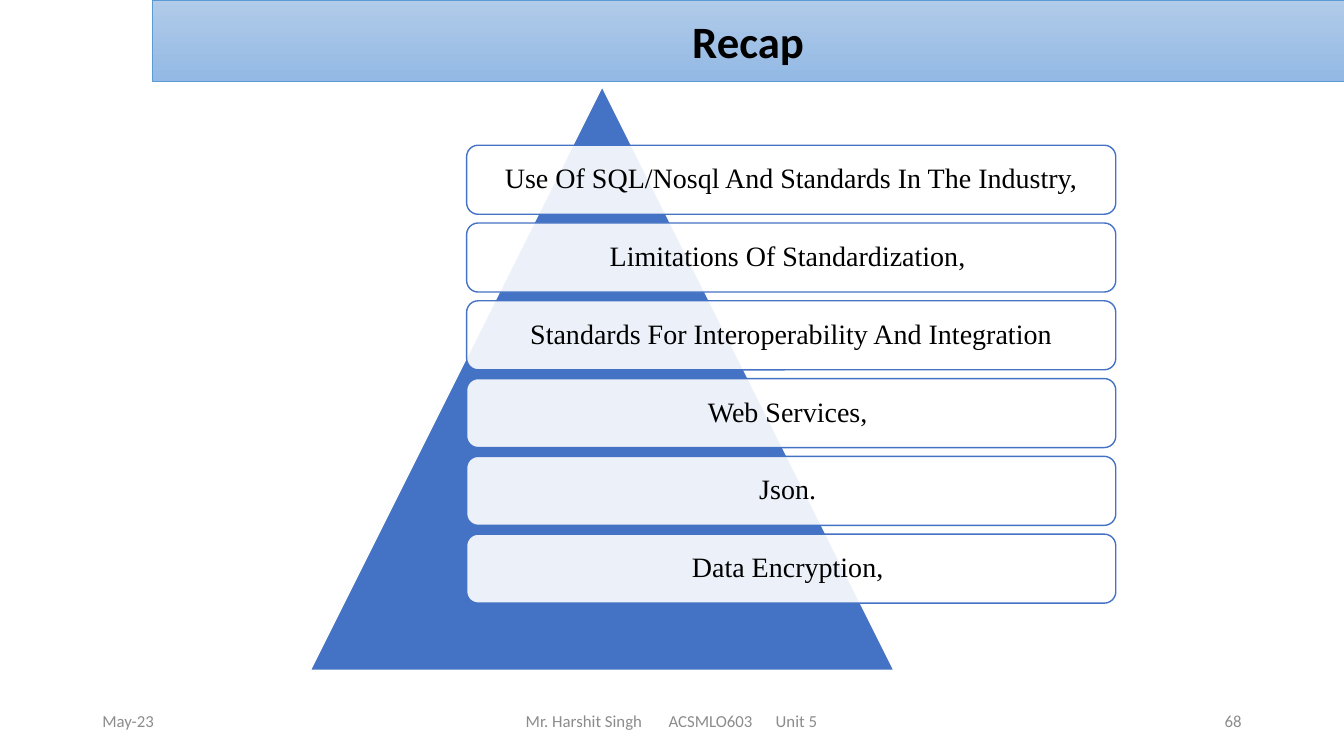
from dataclasses import dataclass

from lxml.etree import SubElement
from pptx import Presentation
from pptx.dml.color import RGBColor
from pptx.enum.shapes import MSO_SHAPE
from pptx.enum.text import MSO_ANCHOR, PP_ALIGN
from pptx.oxml.ns import qn
from pptx.util import Cm, Pt


@dataclass(frozen=True)
class Theme:
    black: RGBColor = RGBColor.from_string("000000")
    white: RGBColor = RGBColor.from_string("FFFFFF")
    blue: RGBColor = RGBColor.from_string("4472C4")
    grey: RGBColor = RGBColor.from_string("8C8C8C")
    banner_top: RGBColor = RGBColor.from_string("B1CBE9")
    banner_bottom: RGBColor = RGBColor.from_string("93B9E4")
    banner_line: RGBColor = RGBColor.from_string("5B9BD5")
    sans: str = "Calibri"
    serif: str = "Times New Roman"
    title_size: Pt = Pt(32)
    topic_size: Pt = Pt(20)
    footer_size: Pt = Pt(12)


THEME = Theme()

TOPICS = [
    "Use Of SQL/Nosql And Standards In The Industry,",
    "Limitations Of Standardization, ",
    "Standards For Interoperability And Integration",
    "Web Services, ",
    "Json. ",
    "Data Encryption, ",
]


def write(shape, text, font_name, size, color, alignment, bold=False):
    frame = shape.text_frame
    frame.word_wrap = True
    frame.vertical_anchor = MSO_ANCHOR.MIDDLE
    paragraph = frame.paragraphs[0]
    paragraph.alignment = alignment
    run = paragraph.add_run()
    run.text = text
    run.font.name = font_name
    run.font.size = size
    run.font.bold = bold
    run.font.color.rgb = color
    return paragraph


def set_line(shape, color, width):
    shape.line.color.rgb = color
    shape.line.width = width


def format_title(title, text):
    title.left, title.top, title.width, title.height = Cm(3.84), Cm(0), Cm(30.03), Cm(2.04)
    title.fill.gradient()
    title.fill.gradient_angle = 270
    colors = (THEME.banner_top, THEME.banner_bottom)
    for position, (stop, color) in enumerate(zip(title.fill.gradient_stops, colors)):
        stop.position = position
        stop.color.rgb = color
    set_line(title, THEME.banner_line, Pt(0.5))
    write(title, text, THEME.sans, THEME.title_size, THEME.black, PP_ALIGN.CENTER, bold=True)


def add_filled_shape(shapes, kind, left, top, width, height, fill, line):
    shape = shapes.add_shape(kind, left, top, width, height)
    shape.shadow.inherit = False
    shape.fill.solid()
    shape.fill.fore_color.rgb = fill
    set_line(shape, line, Pt(1))
    return shape


def set_opacity(shape, percent):
    color = shape._element.spPr.find(qn("a:solidFill")).find(qn("a:srgbClr"))
    SubElement(color, qn("a:alpha")).set("val", str(percent * 1000))


def add_topic(shapes, index, text):
    top = Cm(3.66 + 1.96 * index)
    topic = add_filled_shape(shapes, MSO_SHAPE.ROUNDED_RECTANGLE, Cm(11.76), top,
                             Cm(16.36), Cm(1.74), THEME.white, THEME.blue)
    set_opacity(topic, 90)
    paragraph = write(topic, text, THEME.serif, THEME.topic_size, THEME.black, PP_ALIGN.CENTER)
    paragraph.line_spacing = 0.9


def add_pyramid_list(slide, topics):
    shapes = slide.shapes.add_group_shape().shapes
    add_filled_shape(shapes, MSO_SHAPE.ISOSCELES_TRIANGLE, Cm(7.82), Cm(2.18),
                     Cm(14.71), Cm(14.71), THEME.blue, THEME.white)
    for index, text in enumerate(topics):
        add_topic(shapes, index, text)


def add_footer(slide, text, left, width, alignment=PP_ALIGN.LEFT):
    box = slide.shapes.add_textbox(Cm(left), Cm(17.65), Cm(width), Cm(1.02))
    write(box, text, THEME.sans, THEME.footer_size, THEME.grey, alignment)
    return box


def set_tab_stops(box, positions):
    properties = box.text_frame.paragraphs[0]._p.get_or_add_pPr()
    tab_list = SubElement(properties, qn("a:tabLst"))
    for position in positions:
        SubElement(tab_list, qn("a:tab"), pos=str(Cm(position)), algn="l")


def main():
    presentation = Presentation()
    presentation.slide_width = Cm(33.87)
    presentation.slide_height = Cm(19.05)
    slide = presentation.slides.add_slide(presentation.slide_layouts[5])

    format_title(slide.shapes.title, "Recap")
    add_footer(slide, "May-23", 2.33, 7.62)
    add_footer(slide, "68", 23.92, 7.62, PP_ALIGN.RIGHT)
    course = add_footer(slide, "Mr. Harshit Singh\tACSMLO603\tUnit 5", 11.22, 11.43)
    course.text_frame.margin_left = Cm(2.03)
    set_tab_stops(course, [3.6, 6.3])
    add_pyramid_list(slide, TOPICS)

    presentation.save("out.pptx")


if __name__ == "__main__":
    main()
